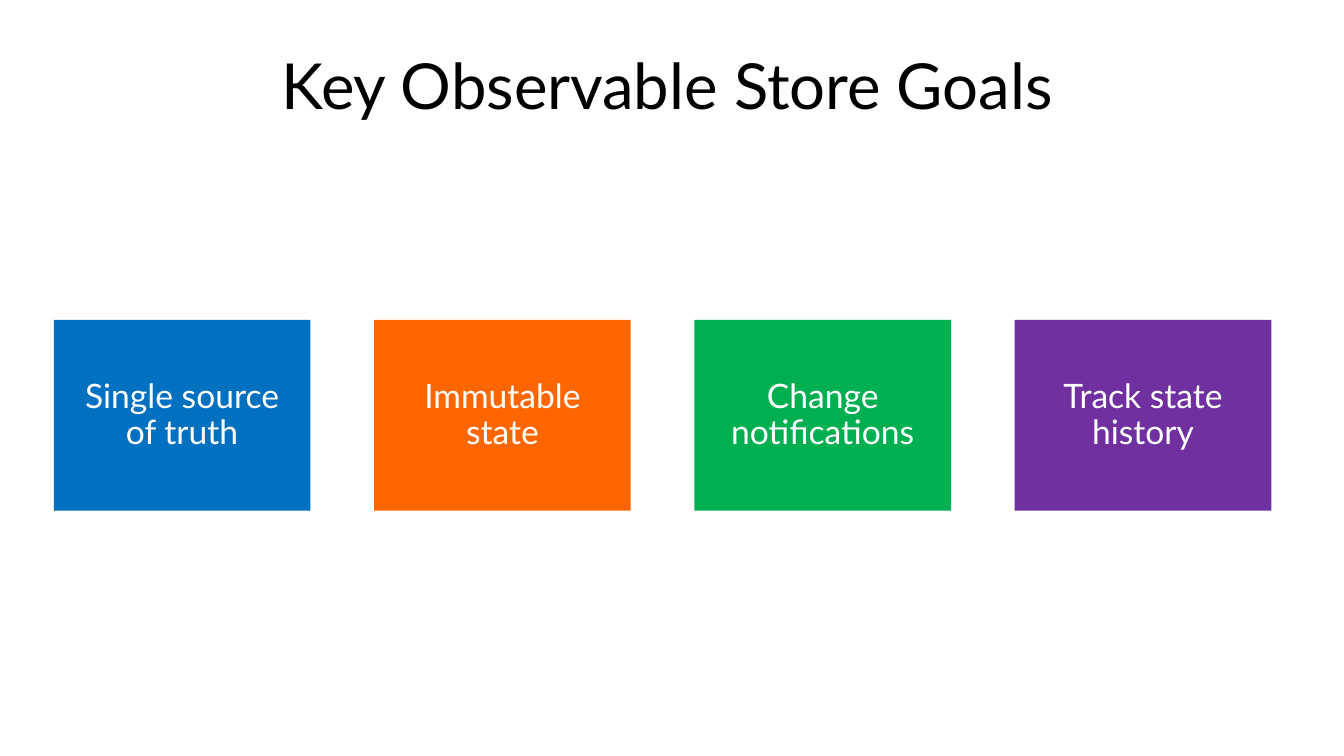
from pptx import Presentation
from pptx.dml.color import RGBColor
from pptx.enum.shapes import MSO_SHAPE
from pptx.enum.text import MSO_ANCHOR, MSO_AUTO_SIZE, PP_ALIGN
from pptx.util import Inches, Pt

RECTANGLE = MSO_SHAPE.RECTANGLE
MIDDLE = MSO_ANCHOR.MIDDLE
NO_AUTOFIT = MSO_AUTO_SIZE.NONE
CENTER = PP_ALIGN.CENTER

FONT = "Lato"
BLACK = RGBColor(0x00, 0x00, 0x00)
WHITE = RGBColor(0xFF, 0xFF, 0xFF)
BLUE = RGBColor(0x00, 0x70, 0xC0)
ORANGE = RGBColor(0xFF, 0x66, 0x00)
GREEN = RGBColor(0x00, 0xB0, 0x50)
PURPLE = RGBColor(0x70, 0x30, 0xA0)

GOALS = [
    ("Single source of truth", BLUE),
    ("Immutable state", ORANGE),
    ("Change notifications", GREEN),
    ("Track state history", PURPLE),
]
FIRST_LEFT, LAST_LEFT = 0.4, 7.55
GOAL_TOP = 2.38
GOAL_WIDTH, GOAL_HEIGHT = 1.91, 1.42
GOAL_PITCH = (LAST_LEFT - FIRST_LEFT) / (len(GOALS) - 1)


def set_text(s, text, size, color, insets):
    """Write one centred paragraph; insets are left, top, right, bottom in inches."""
    tf = s.text_frame
    tf.text = text
    tf.word_wrap = True
    tf.auto_size = NO_AUTOFIT
    tf.vertical_anchor = MIDDLE
    tf.margin_left, tf.margin_top, tf.margin_right, tf.margin_bottom = map(Inches, insets)
    p = tf.paragraphs[0]
    p.alignment = CENTER
    p.line_spacing = 0.9
    font = p.runs[0].font
    font.name = FONT
    font.size = Pt(size)
    font.color.rgb = color


def add_title(slide, text):
    s = slide.shapes.title
    s.left, s.top = Inches(0.58), Inches(0.48)
    s.width, s.height = Inches(8.84), Inches(0.36)
    set_text(s, text, 34, BLACK, (0, 0.04, 0.07, 0.04))


def add_goal(slide, left, text, color):
    s = slide.shapes.add_shape(RECTANGLE, Inches(left), Inches(GOAL_TOP),
                               Inches(GOAL_WIDTH), Inches(GOAL_HEIGHT))
    s.shadow.inherit = False
    s.fill.solid()
    s.fill.fore_color.rgb = color
    s.line.fill.background()
    set_text(s, text, 18, WHITE, (0.22, 0.22, 0.22, 0.22))


def main():
    prs = Presentation()
    prs.slide_width = Inches(10)
    prs.slide_height = prs.slide_width * 9 // 16
    slide = prs.slides.add_slide(prs.slide_layouts[5])
    add_title(slide, "Key Observable Store Goals")
    for i, (text, color) in enumerate(GOALS):
        add_goal(slide, FIRST_LEFT + i * GOAL_PITCH, text, color)
    prs.save("out.pptx")


if __name__ == "__main__":
    main()
